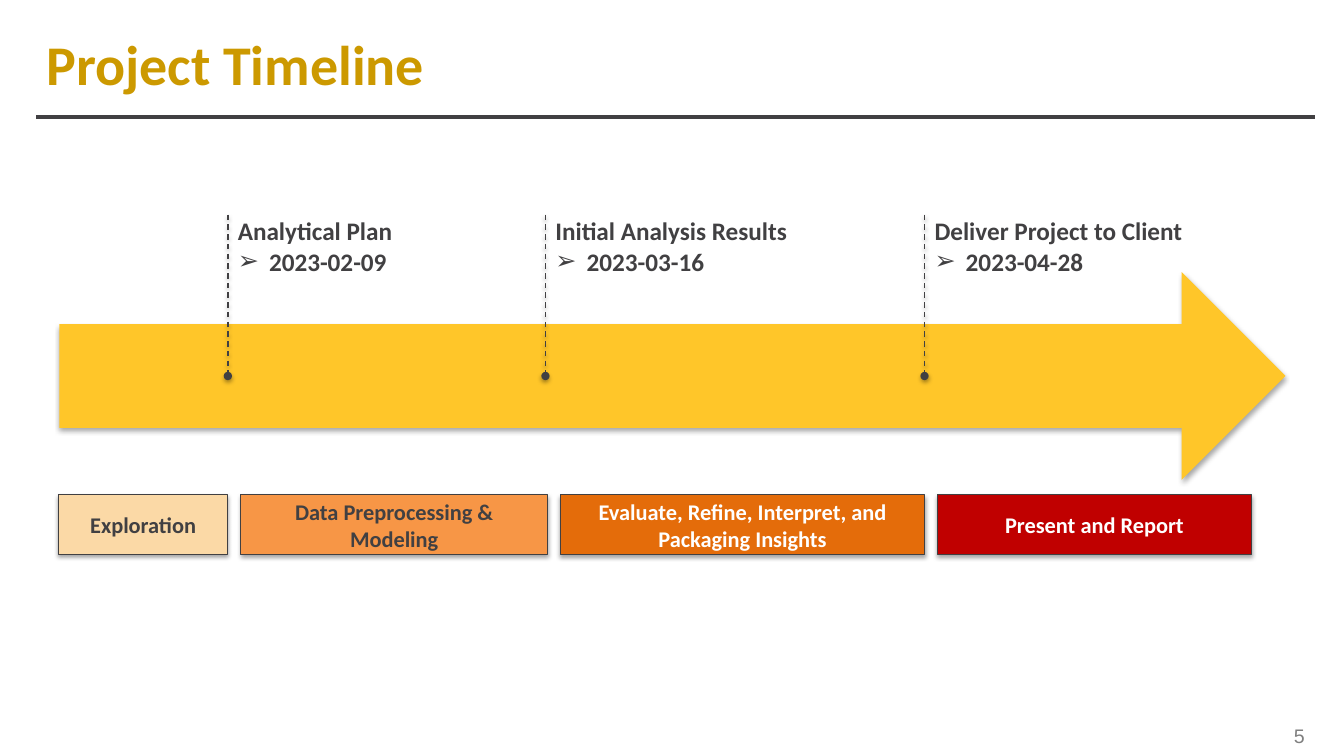
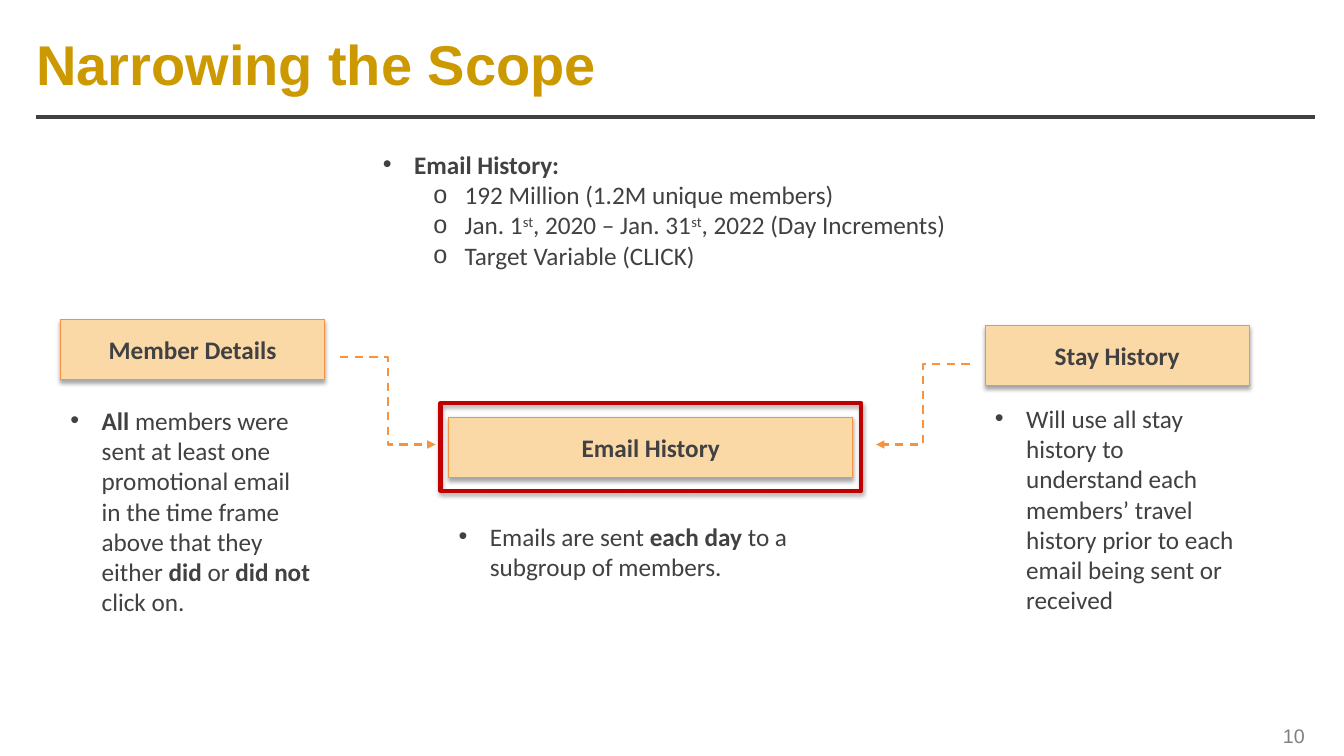
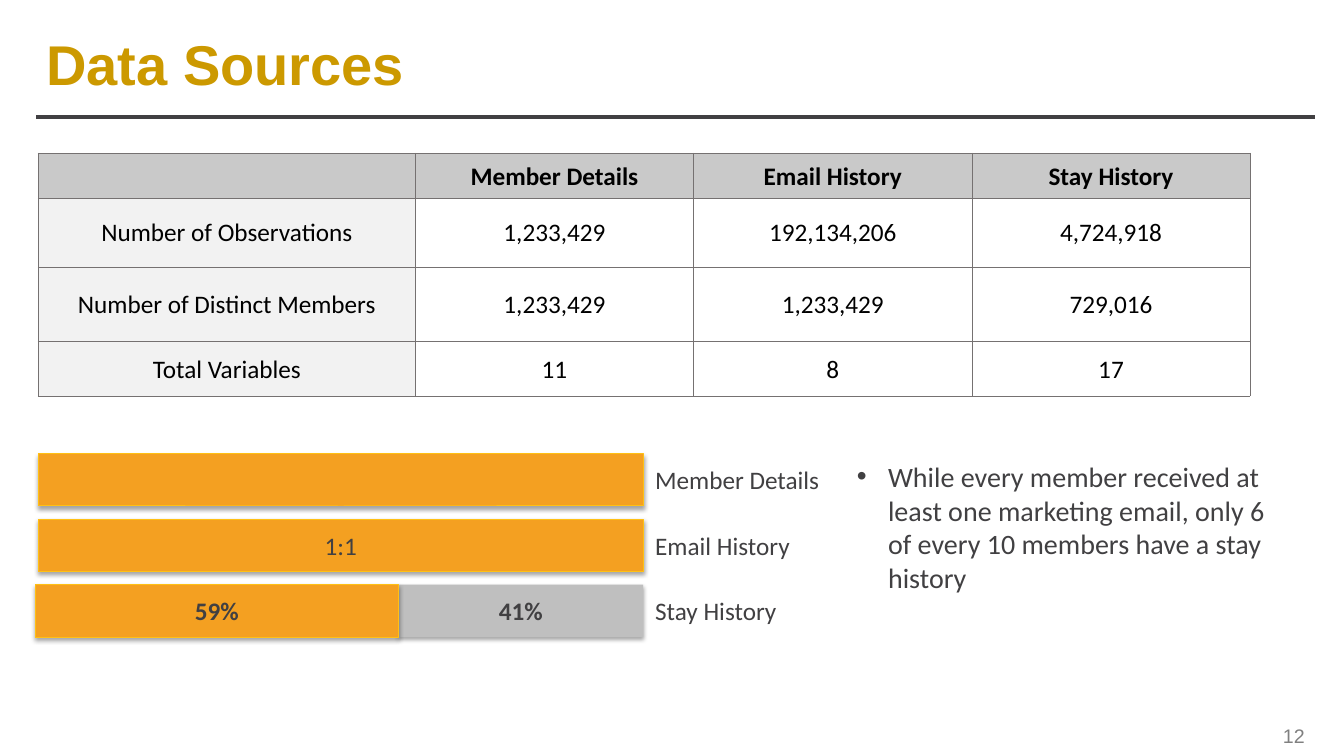
"""Builds three project slides: timeline, scope and data sources."""
from dataclasses import dataclass

from lxml.etree import SubElement
from pptx import Presentation
from pptx.dml.color import RGBColor
from pptx.enum.dml import MSO_LINE
from pptx.enum.shapes import MSO_CONNECTOR as Link, MSO_SHAPE as Preset
from pptx.enum.text import MSO_ANCHOR as Anchor, PP_ALIGN as Align
from pptx.oxml.ns import qn
from pptx.util import Inches, Pt


@dataclass(frozen=True)
class Theme:
    """Colours, fonts and type sizes."""
    gold: str = "CC9900"
    ink: str = "414042"
    white: str = "FFFFFF"
    black: str = "000000"
    grey: str = "808080"
    arrow: str = "FFC629"
    cream: str = "FBD9A6"
    peach: str = "F79646"
    edge: str = "F69240"
    rust: str = "E46C0A"
    red: str = "C00000"
    bar: str = "F4A021"
    bar_edge: str = "FFC014"
    rest: str = "BFBFBF"
    header: str = "C9C9C9"
    stub: str = "F2F2F2"
    grid: str = "757171"
    body: str = "Calibri"
    plain: str = "Arial"
    title: int = 40
    large: int = 20
    text: int = 18
    phase: int = 16
    number: int = 14


T = Theme()
WIDTH, HEIGHT = 13.33, 7.5
INDENT = 0.31

PHASE_LEFT, PHASE_TOP, PHASE_HEIGHT, PHASE_GAP = 0.58, 4.91, 0.59, 0.13
PHASES = [
    ("Exploration", 1.68, T.cream, T.ink),
    ("Data Preprocessing & Modeling", 3.04, T.peach, T.ink),
    ("Evaluate, Refine, Interpret, and\nPackaging Insights", 3.61, T.rust, T.white),
    ("Present and Report", 3.11, T.red, T.white),
]
MILESTONES = [
    ("Analytical Plan", "2023-02-09", 2.26),
    ("Initial Analysis Results", "2023-03-16", 5.41),
    ("Deliver Project to Client", "2023-04-28", 9.17),
]
ARROW = (0.59, 2.7, 12.16, 2.06)

SOURCES = [
    ("Stay History", (9.77, 3.23, 2.62, 0.6), (9.77, 3.95, 2.62, 2.52), [
        "Will use all stay history to understand each members’ travel history "
        "prior to each email being sent or received"]),
    ("Email History", (4.45, 4.14, 4.01, 0.6), (4.45, 5.12, 4.01, 0.71), [
        "Emails are sent ", ("each day ", "bold"), "to a subgroup of members."]),
    ("Member Details", (0.6, 3.17, 2.62, 0.6), (0.6, 3.97, 2.62, 2.22), [
        ("All ", "bold"),
        "members were sent at least one promotional email in the time frame above that they either ",
        ("did", "bold"), " or ", ("did not", "bold"), " click on."]),
]
FOCUS = (4.37, 4, 4.17, 0.87)
FLOWS = [((3.37, 3.54), (4.32, 4.41)), ((9.62, 3.61), (8.69, 4.41))]
EMAIL_SCOPE = [
    ([("Email History:", "bold")], "•", 0),
    (["192 Million (1.2M unique members)"], "o", 1),
    (["Jan. 1", ("st", "super"), ", 2020 – Jan. 31", ("st", "super"),
      ", 2022 (Day Increments)"], "o", 1),
    (["Target Variable (CLICK)"], "o", 1),
]

COLUMNS, ROWS = [3.74, 2.76, 2.76, 2.76], [0.45, 0.68, 0.74, 0.54]
COUNTS = [
    ["", "Member Details", "Email History", "Stay History"],
    ["Number of Observations", "1,233,429", "192,134,206", "4,724,918"],
    ["Number of Distinct Members", "1,233,429", "1,233,429", "729,016"],
    ["Total Variables", "11", "8", "17"],
]
BAR_TOP, BAR_PITCH, BAR_HEIGHT, BAR_END = 4.5, 0.65, 0.52, 6.38
WHOLE, MATCHED, UNMATCHED = (0.38, 6), (0.35, 3.6), (3.95, 2.43)
COVERAGE = [
    ("Member Details", [("", WHOLE, T.bar, T.bar_edge)]),
    ("Email History", [("1:1", WHOLE, T.bar, T.bar_edge)]),
    ("Stay History", [("41%", UNMATCHED, T.rest, None), ("59%", MATCHED, T.bar, T.bar_edge)]),
]
FINDING = ("While every member received at least one marketing email, "
           "only 6 of every 10 members have a stay history")


def rgb(value):
    """Turns a hex string into a colour."""
    return RGBColor.from_string(value)


def assign(target, **formats):
    """Sets each format value on the target."""
    for name, value in formats.items():
        setattr(target, name, value)


def box_of(box):
    """Converts a box in inches."""
    return [Inches(length) for length in box]


def cast(effects):
    """Adds the soft drop shadow to an effect list."""
    drop = SubElement(effects, qn("a:outerShdw"), blurRad=str(Pt(3.1)), dist=str(Pt(1.8)),
                      dir="5400000", rotWithShape="0")
    colour = SubElement(drop, qn("a:srgbClr"), val=T.black)
    SubElement(colour, qn("a:alpha"), val="35000")


def add_bullet(paragraph, mark, level):
    """Gives a paragraph a hanging bullet."""
    props = paragraph._p.get_or_add_pPr()
    props.set("marL", str(Inches(INDENT + level * 0.5)))
    props.set("indent", str(Inches(-INDENT)))
    SubElement(props, qn("a:buFont"), typeface=T.plain)
    SubElement(props, qn("a:buChar"), char=mark)


def write(frame, paragraphs, size=T.text, color=T.ink, font=T.body, bold=False,
          align=Align.LEFT, anchor=Anchor.TOP):
    """Fills a text frame with (runs, bullet, level) paragraphs."""
    assign(frame, word_wrap=True, vertical_anchor=anchor)
    for index, (runs, mark, level) in enumerate(paragraphs):
        paragraph = frame.add_paragraph() if index else frame.paragraphs[0]
        assign(paragraph, alignment=align, level=level)
        if mark:
            add_bullet(paragraph, mark, level)
        for part in runs:
            words, style = (part, "") if isinstance(part, str) else part
            run = paragraph.add_run()
            run.text = words
            assign(run.font, name=font, size=Pt(size), bold=bold or style == "bold")
            run.font.color.rgb = rgb(color)
            if style == "super":
                run.font._element.set("baseline", "30000")


def lines(words):
    """Splits plain words into unbulleted paragraphs."""
    return [([line], None, 0) for line in words.split("\n") if line]


def add_text(slide, box, paragraphs, **formats):
    """Adds a text box."""
    write(slide.shapes.add_textbox(*box_of(box)).text_frame, paragraphs, **formats)


def add_block(slide, box, fill=None, edge=None, weight=0.75, words="", preset=Preset.RECTANGLE,
              **formats):
    """Adds a shadowed shape with centred words."""
    block = slide.shapes.add_shape(preset, *box_of(box))
    if fill:
        block.fill.solid()
        block.fill.fore_color.rgb = rgb(fill)
    else:
        block.fill.background()
    if edge:
        block.line.color.rgb = rgb(edge)
        block.line.width = Pt(weight)
    else:
        block.line.fill.background()
    block.shadow.inherit = False
    cast(block._element.spPr.find(qn("a:effectLst")))
    write(block.text_frame, lines(words), align=Align.CENTER, anchor=Anchor.MIDDLE, **formats)


def add_link(slide, start, end, color, weight, kind=Link.STRAIGHT, tail=None, shadow=False):
    """Adds a line, dashed when it has a tail mark."""
    link = slide.shapes.add_connector(kind, *box_of(start + end))
    link.line.color.rgb = rgb(color)
    link.line.width = Pt(weight)
    if tail:
        link.line.dash_style = MSO_LINE.DASH
        SubElement(link.line._get_or_add_ln(), qn("a:tailEnd"), type=tail)
    effects = SubElement(link._element.spPr, qn("a:effectLst"))
    if shadow:
        cast(effects)


def start_slide(deck, heading, number, font=T.plain, inset=0.1):
    """Adds a slide with its title, rule and number."""
    slide = deck.slides.add_slide(deck.slide_layouts[5])
    title = slide.shapes.title
    left, top, width, height = box_of((0.36, 0.22, 11.32, 0.82))
    assign(title, left=left, top=top, width=width, height=height)
    title.text_frame.margin_left = Inches(inset)
    write(title.text_frame, lines(heading), size=T.title, color=T.gold, font=font, bold=True,
          anchor=Anchor.MIDDLE)
    add_link(slide, (0.36, 1.16), (13.04, 1.16), T.ink, 3)
    add_text(slide, (9.56, 7.1, 3.48, 0.4), lines(number), size=T.number, color=T.grey,
             font=T.plain, align=Align.RIGHT, anchor=Anchor.MIDDLE)
    return slide


def build_timeline(deck):
    """Builds the timeline slide."""
    slide = start_slide(deck, "Project Timeline", "5", font=T.body)
    add_block(slide, ARROW, T.arrow, preset=Preset.RIGHT_ARROW)
    left = PHASE_LEFT
    for phase, width, fill, color in PHASES:
        add_block(slide, (left, PHASE_TOP, width, PHASE_HEIGHT), fill, T.ink, words=phase,
                  size=T.phase, color=color, bold=True)
        left += width + PHASE_GAP
    for milestone, date, x in MILESTONES:
        add_link(slide, (x, 2.13), (x, 3.73), T.ink, 1, tail="oval", shadow=True)
        add_text(slide, (x, 2.09, 2.72, 0.71), [([milestone], None, 0), ([date], "➢", 0)],
                 bold=True)


def build_scope(deck):
    """Builds the scope slide."""
    slide = start_slide(deck, "Narrowing the Scope", "10", inset=0)
    for source, box, note_box, note in SOURCES:
        add_block(slide, box, T.cream, T.edge, words=source, bold=True)
        add_text(slide, note_box, [(note, "•", 0)])
    add_block(slide, FOCUS, edge=T.red, weight=3)
    for start, end in FLOWS:
        add_link(slide, start, end, T.edge, 1.5, kind=Link.ELBOW, tail="triangle")
    add_text(slide, (3.7, 1.43, 5.93, 1.31), EMAIL_SCOPE)


def add_borders(cell):
    """Draws thin lines on all sides of a cell."""
    for side in ("lnL", "lnR", "lnT", "lnB"):
        border = SubElement(cell._tc.get_or_add_tcPr(), qn(f"a:{side}"), w=str(Pt(0.5)))
        SubElement(SubElement(border, qn("a:solidFill")), qn("a:srgbClr"), val=T.grid)


def add_counts(slide):
    """Adds the table of counts."""
    box = box_of((0.38, 1.52, sum(COLUMNS), sum(ROWS)))
    counts = slide.shapes.add_table(len(ROWS), len(COLUMNS), *box).table
    assign(counts, first_row=False, horz_banding=False)
    for column, width in zip(counts.columns, COLUMNS):
        column.width = Inches(width)
    for r, (height, record) in enumerate(zip(ROWS, COUNTS)):
        counts.rows[r].height = Inches(height)
        for c, words in enumerate(record):
            cell = counts.cell(r, c)
            inset = Inches(0.01)
            assign(cell, margin_left=inset, margin_right=inset, margin_top=inset,
                   margin_bottom=0, vertical_anchor=Anchor.MIDDLE)
            add_borders(cell)
            fill = T.header if r == 0 else T.stub if c == 0 else None
            if fill:
                cell.fill.solid()
                cell.fill.fore_color.rgb = rgb(fill)
            else:
                cell.fill.background()
            write(cell.text_frame, lines(words), color=T.black, bold=r == 0,
                  align=Align.CENTER, anchor=Anchor.MIDDLE)


def build_sources(deck):
    """Builds the data sources slide."""
    slide = start_slide(deck, "Data Sources", "12")
    add_counts(slide)
    for row, (source, segments) in enumerate(COVERAGE):
        top = BAR_TOP + row * BAR_PITCH
        for share, (left, width), fill, edge in segments:
            add_block(slide, (left, top, width, BAR_HEIGHT), fill, edge, words=share,
                      bold="%" in share)
        add_text(slide, (BAR_END + 0.02, top, 1.94, BAR_HEIGHT), lines(source),
                 anchor=Anchor.MIDDLE)
    add_text(slide, (8.4, 4.51, 4.43, 1.45), [([FINDING], "•", 0)], size=T.large)


def main():
    """Builds and saves the deck."""
    deck = Presentation()
    assign(deck, slide_width=Inches(WIDTH), slide_height=Inches(HEIGHT))
    for build in (build_timeline, build_scope, build_sources):
        build(deck)
    deck.save("out.pptx")


if __name__ == "__main__":
    main()
